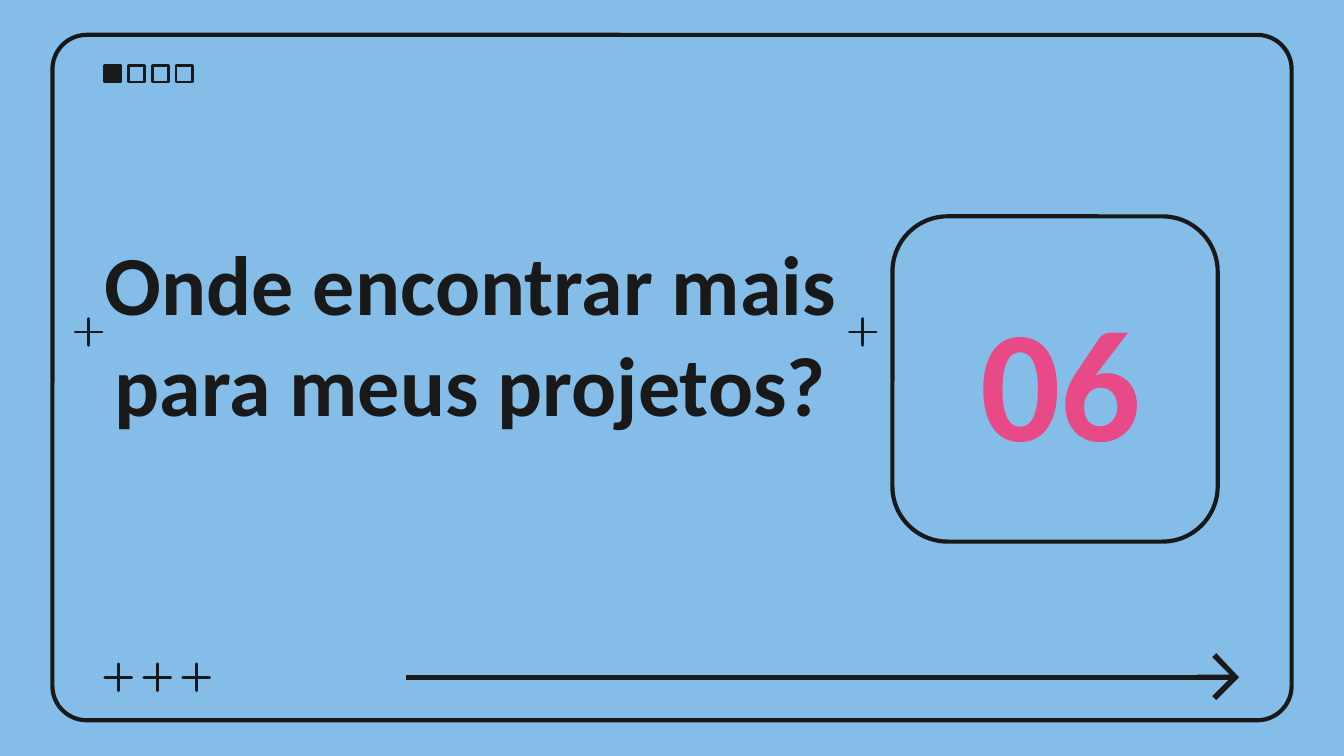
import pptx
import pptx.util
import pptx.dml.color
import pptx.enum.shapes
import pptx.enum.text
from lxml import etree
from pptx.util import Inches

COLORS = {"sky": "84BDE7", "ink": "191919", "pink": "E84987"}
KINDS = pptx.enum.shapes.MSO_SHAPE
HEAD = [(9.05, 4.86), (9.02, 4.89), (9.15, 5.02), (8.91, 5.02), (8.91, 5.05),
        (9.15, 5.05), (9.02, 5.18), (9.05, 5.21), (9.22, 5.04)]


def color(name):
    return pptx.dml.color.RGBColor.from_string(COLORS[name])


def paint(shape, filled, width):
    """Give a shape an ink outline (none if width is 0) and an optional ink fill."""
    shape.shadow.inherit = False
    if filled:
        shape.fill.solid()
        shape.fill.fore_color.rgb = color("ink")
    else:
        shape.fill.background()
    if width:
        shape.line.color.rgb = color("ink")
        shape.line.width = pptx.util.Pt(width)
    else:
        shape.line.fill.background()


def add_shape(slide, kind, left, top, width, height, line, filled=False, adjust=None):
    shape = slide.shapes.add_shape(
        kind, Inches(left), Inches(top), Inches(width), Inches(height))
    if adjust is not None:
        shape.adjustments[0] = adjust
    paint(shape, filled, line)


def add_plus(slide, left, top):
    add_shape(slide, KINDS.STAR_4_POINT, left, top, 0.2, 0.2, 1.5, True, 0)


def add_text(slide, text, left, top, width, height, size, tint, side):
    box = slide.shapes.add_textbox(
        Inches(left), Inches(top), Inches(width), Inches(height))
    frame = box.text_frame
    frame.word_wrap = True
    frame.vertical_anchor = pptx.enum.text.MSO_ANCHOR.MIDDLE
    frame.margin_left = frame.margin_right = Inches(side)
    frame.margin_top = frame.margin_bottom = Inches(0.1)
    frame.text = text
    para = frame.paragraphs[0]
    para.alignment = pptx.enum.text.PP_ALIGN.CENTER
    font = para.runs[0].font
    font.name = "Calibri"
    font.size = pptx.util.Pt(size)
    font.bold = True
    font.color.rgb = color(tint)


def add_arrow(slide):
    points = [(Inches(x), Inches(y)) for x, y in HEAD]
    form = slide.shapes.build_freeform(*points[0])
    form.add_line_segments(points[1:], close=True)
    paint(form.convert_to_shape(), True, 0)
    shaft = slide.shapes.add_connector(
        pptx.enum.shapes.MSO_CONNECTOR.STRAIGHT,
        Inches(3.02), Inches(5.04), Inches(9.2), Inches(5.04))
    shaft.line.color.rgb = color("ink")
    shaft.line.width = pptx.util.Pt(3)
    etree.SubElement(shaft._element.spPr, pptx.oxml.ns.qn("a:effectLst"))


def main():
    deck = pptx.Presentation()
    deck.slide_width = Inches(10)
    deck.slide_height = Inches(10 * 9 / 16)
    slide = deck.slides.add_slide(deck.slide_layouts[6])
    slide.background.fill.solid()
    slide.background.fill.fore_color.rgb = color("sky")

    add_shape(slide, KINDS.ROUNDED_RECTANGLE, 0.39, 0.26, 9.22, 5.1, 2.25, adjust=0.05)
    add_shape(slide, KINDS.ROUNDED_RECTANGLE, 6.64, 1.61, 2.42, 2.42, 2.25, adjust=0.17)
    add_text(slide, "Onde encontrar mais para meus projetos?",
             0.66, 1.92, 5.68, 1.11, 45, "ink", 0.1)
    add_text(slide, "06", 6.68, 1.87, 2.42, 1.89, 85, "pink", 0)

    for step in range(4):
        add_shape(slide, KINDS.RECTANGLE, 0.78 + 0.53 * step / 3, 0.49, 0.12, 0.12,
                  1.5, filled=step == 0)
    for step in range(3):
        add_plus(slide, 0.78 + 0.29 * step, 4.94)
    add_arrow(slide)
    for left in (0.56, 6.32):
        add_plus(slide, left, 2.37)

    deck.save("out.pptx")


if __name__ == "__main__":
    main()
